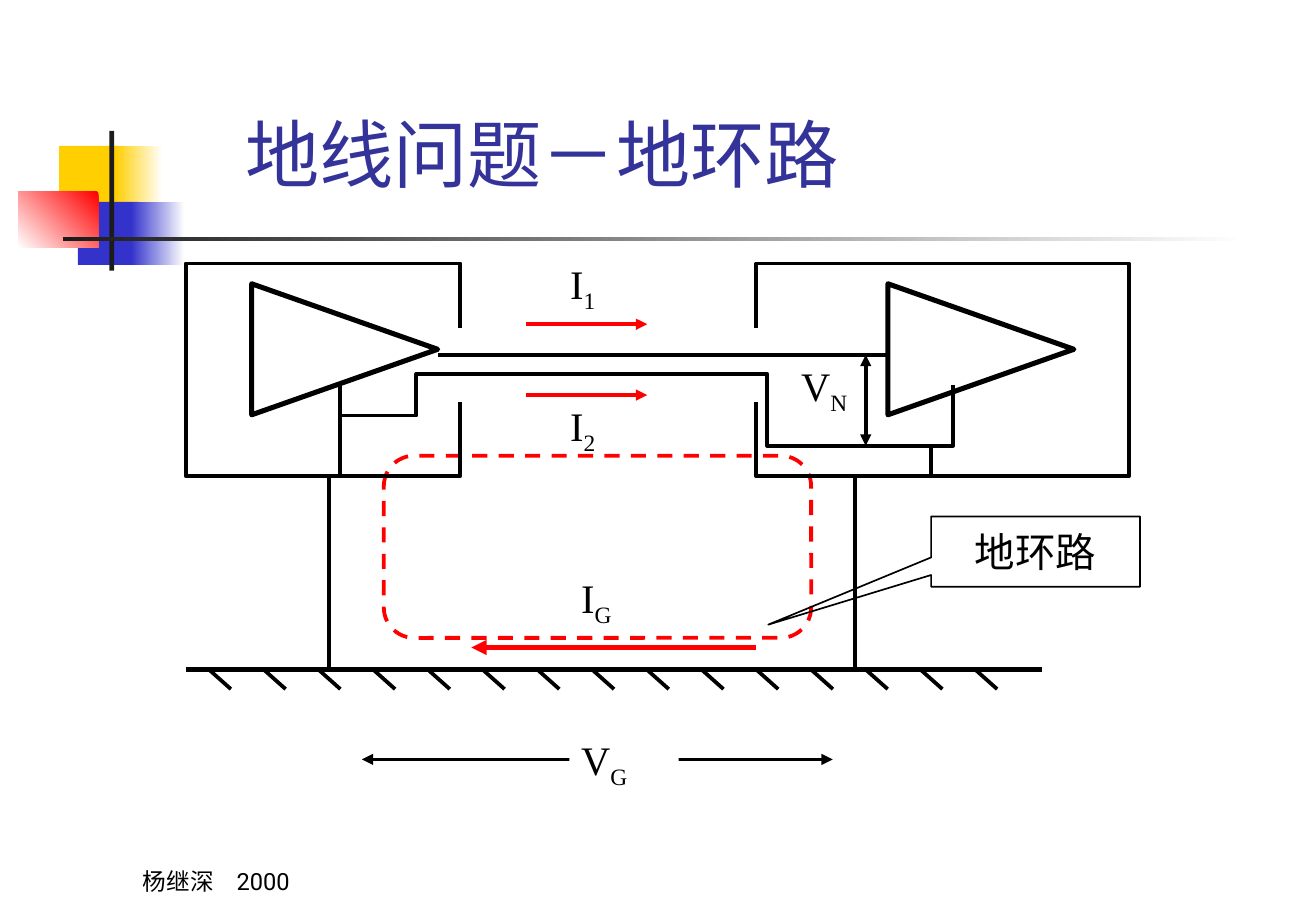
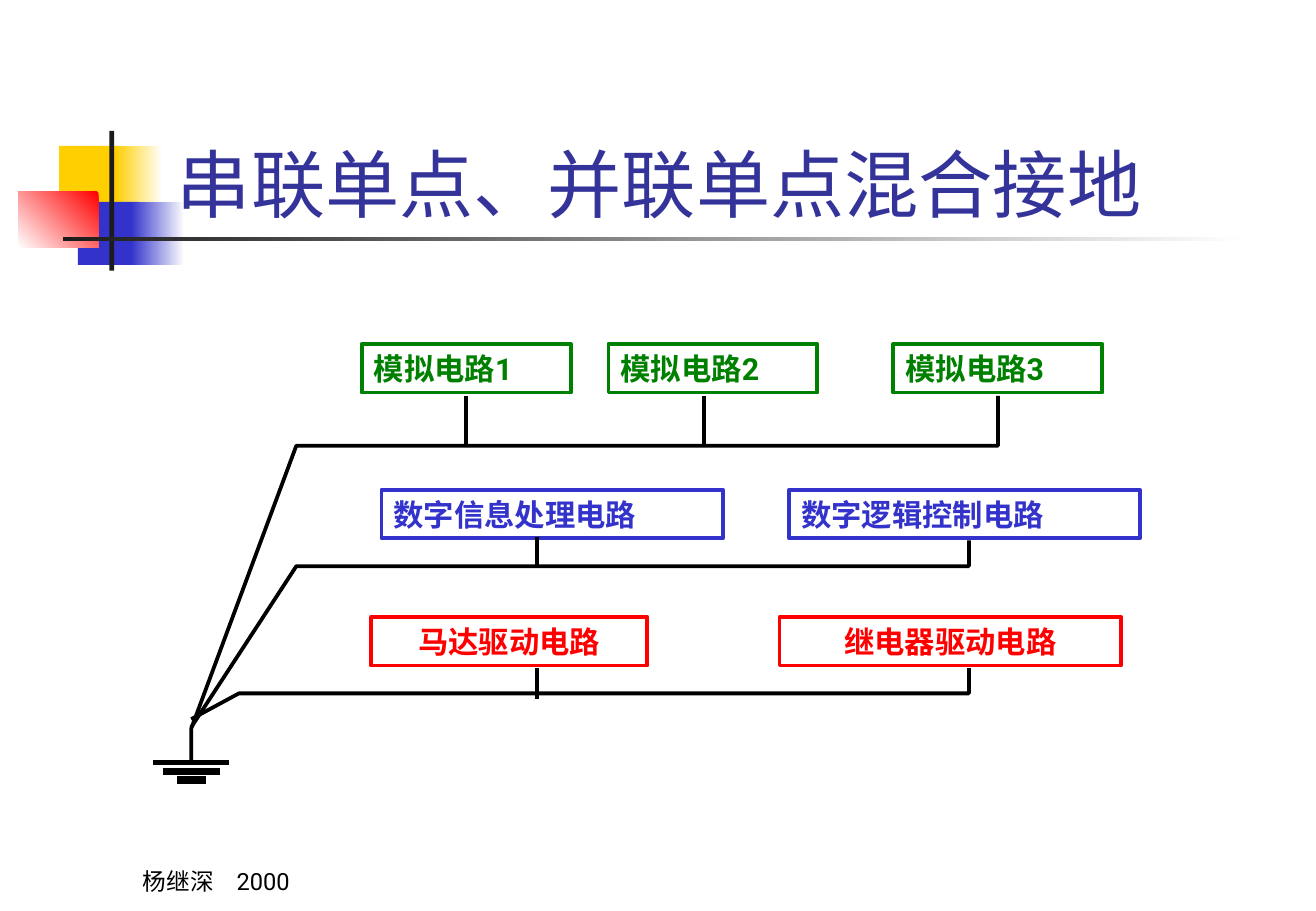
from lxml import etree
from pptx import Presentation
from pptx.dml.color import RGBColor
from pptx.enum.dml import MSO_LINE
from pptx.enum.shapes import MSO_CONNECTOR, MSO_SHAPE
from pptx.enum.text import MSO_ANCHOR, PP_ALIGN
from pptx.oxml.ns import qn
from pptx.util import Cm, Pt

RECTANGLE = MSO_SHAPE.RECTANGLE
ROUNDED = MSO_SHAPE.ROUNDED_RECTANGLE
TRIANGLE = MSO_SHAPE.ISOSCELES_TRIANGLE
CALLOUT = MSO_SHAPE.RECTANGULAR_CALLOUT
STRAIGHT = MSO_CONNECTOR.STRAIGHT
DASH = MSO_LINE.DASH
TOP, MIDDLE, BOTTOM = MSO_ANCHOR.TOP, MSO_ANCHOR.MIDDLE, MSO_ANCHOR.BOTTOM
LEFT, CENTER = PP_ALIGN.LEFT, PP_ALIGN.CENTER

WHITE = RGBColor(0xFF, 0xFF, 0xFF)
BLACK = RGBColor(0x00, 0x00, 0x00)
CHARCOAL = RGBColor(0x1C, 0x1C, 0x1C)
YELLOW = RGBColor(0xFF, 0xCF, 0x01)
BLUE = RGBColor(0x33, 0x33, 0xCC)
RED = RGBColor(0xFF, 0x00, 0x00)
GREEN = RGBColor(0x00, 0x80, 0x00)
TITLE_COLOR = RGBColor(0x33, 0x33, 0x99)

SANS = "Roboto"
SERIF = "Times New Roman"
FOOTER = "杨继深\t2000"
WIRE = 2.25


def write_text(shape, text, *, size, font=SANS, color=BLACK, bold=False, align=LEFT,
               anchor=TOP, wrap=True, subscript="", tab=None):
    frame = shape.text_frame
    frame.word_wrap = wrap
    frame.vertical_anchor = anchor
    frame.margin_left = frame.margin_right = Cm(0.25)
    frame.margin_top = frame.margin_bottom = Cm(0.13)
    paragraph = frame.paragraphs[0]
    if tab is not None:
        properties = paragraph._p.get_or_add_pPr()
        tab_list = etree.SubElement(properties, qn("a:tabLst"))
        etree.SubElement(tab_list, qn("a:tab"), pos=str(Cm(tab)), algn="l")
    paragraph.alignment = align
    for part, baseline in ((text, None), (subscript, "-25000")):
        if not part:
            continue
        run = paragraph.add_run()
        run.text = part
        run.font.name = font
        run.font.size = Pt(size)
        run.font.bold = bold
        run.font.color.rgb = color
        if baseline:
            run._r.get_or_add_rPr().set("baseline", baseline)


def add_text(slide, box, text, **text_format):
    shape = slide.shapes.add_textbox(*map(Cm, box))
    write_text(shape, text, **text_format)
    return shape


def style_outline(shape, color, width):
    if color is None:
        shape.line.fill.background()
    else:
        shape.line.color.rgb = color
        shape.line.width = Pt(width)


def add_shape(slide, kind, box, *, fill=None, line=None, width=WIRE):
    shape = slide.shapes.add_shape(kind, *map(Cm, box))
    shape.shadow.inherit = False
    if fill is None:
        shape.fill.background()
    else:
        shape.fill.solid()
        shape.fill.fore_color.rgb = fill
    style_outline(shape, line, width)
    return shape


def add_fade(slide, box, first, last, angle=180):
    """Add a borderless rectangle with a two-colour gradient."""
    shape = add_shape(slide, RECTANGLE, box)
    shape.fill.gradient()
    shape.fill.gradient_angle = angle
    for stop, color in zip(shape.fill.gradient_stops, (first, last)):
        stop.color.rgb = color


def add_line(slide, start, end, *, color=BLACK, width=WIRE, heads=()):
    """Add a straight line; heads names the ends with arrows (headEnd, tailEnd)."""
    connector = slide.shapes.add_connector(STRAIGHT, *map(Cm, (*start, *end)))
    style_outline(connector, color, width)
    etree.SubElement(connector._element.spPr, qn("a:effectLst"))
    outline = connector.line._get_or_add_ln()
    for head in heads:
        etree.SubElement(outline, qn(f"a:{head}"), type="triangle")


def add_polyline(slide, points):
    first, *others = [(Cm(x), Cm(y)) for x, y in points]
    builder = slide.shapes.build_freeform(*first)
    builder.add_line_segments(others, close=False)
    shape = builder.convert_to_shape()
    shape.shadow.inherit = False
    shape.fill.background()
    style_outline(shape, BLACK, WIRE)


def add_base_slide(presentation, title, title_box):
    """Add a blank-layout slide with the shared ornament, title and footer."""
    slide = presentation.slides.add_slide(presentation.slide_layouts[6])
    add_shape(slide, RECTANGLE, (1.24, 3.05, 1.32, 1.32), fill=YELLOW)
    add_fade(slide, (2.41, 3.05, 0.99, 1.32), WHITE, YELLOW)
    add_shape(slide, RECTANGLE, (1.63, 4.22, 1.27, 1.32), fill=BLUE)
    add_fade(slide, (2.74, 4.22, 1.12, 1.32), WHITE, BLUE)
    add_fade(slide, (0.38, 4.01, 1.68, 1.17), RED, WHITE, angle=225)
    add_shape(slide, RECTANGLE, (2.29, 2.74, 0.1, 2.92), fill=CHARCOAL)
    add_fade(slide, (1.32, 4.95, 24.77, 0.09), WHITE, CHARCOAL)
    add_text(slide, title_box, title, size=44, color=TITLE_COLOR, anchor=BOTTOM)
    add_text(slide, (2.74, 17.58, 5.74, 1.27), FOOTER, size=14, anchor=BOTTOM, tab=1.96)
    return slide


def add_symbol(slide, left, top, letter, subscript):
    add_text(slide, (left, top, 1.8, 1.42), letter, subscript=subscript, size=24, font=SERIF)


def add_housing(slide, open_x, closed_x):
    """Outline a cabinet whose side at open_x has a gap for the cable."""
    top, bottom = 5.51, 9.96
    add_polyline(slide, [(open_x, 6.86), (open_x, top), (closed_x, top),
                         (closed_x, bottom), (open_x, bottom), (open_x, 8.41)])


def build_ground_loop(presentation):
    slide = add_base_slide(presentation, "地线问题－地环路", (4.88, 2.13, 20.62, 2.13))
    signal_y, return_y, housing_y, ground_y = 7.42, 9.32, 9.96, 14

    for left in (5.84, 19.15):
        amplifier = add_shape(slide, TRIANGLE, (left, 5.36, 2.74, 3.89), line=BLACK, width=3)
        amplifier.rotation = 90
    add_line(slide, (9.17, signal_y), (18.57, signal_y))

    add_line(slide, (3.89, ground_y), (21.79, ground_y), width=3)
    for index in range(15):
        x = 4.37 + 1.145 * index
        add_line(slide, (x, ground_y), (x + 0.46, ground_y + 0.41))
    for x in (6.88, 17.88):
        add_line(slide, (x, housing_y), (x, ground_y))

    for y in (6.78, 8.26):
        add_line(slide, (11, y), (13.54, y), color=RED, heads=["tailEnd"])
    add_line(slide, (15.82, 13.54), (9.86, 13.54), color=RED, width=3, heads=["tailEnd"])
    both_ends = ["headEnd", "tailEnd"]
    add_line(slide, (7.57, 15.88), (17.42, 15.88), heads=both_ends)
    add_shape(slide, RECTANGLE, (11.91, 15.24, 2.29, 1.42), fill=WHITE)
    add_line(slide, (18.11, signal_y), (18.11, return_y), heads=both_ends)

    loop = add_shape(slide, ROUNDED, (8.03, 9.53, 8.94, 3.81), line=RED)
    loop.line.dash_style = DASH
    callout = add_shape(slide, CALLOUT, (19.48, 10.8, 4.37, 1.47), line=BLACK, width=1)
    callout.adjustments[0] = -1.28
    callout.adjustments[1] = 1.04
    write_text(callout, "地环路", size=24, font=SERIF, align=CENTER, anchor=MIDDLE, wrap=False)

    add_housing(slide, 9.63, 3.89)
    add_housing(slide, 15.82, 23.62)
    add_polyline(slide, [(7.11, 8.05), (7.11, 8.69), (8.71, 8.69), (8.71, 7.82),
                         (16.05, 7.82), (16.05, return_y), (19.94, return_y), (19.94, 8.05)])
    add_line(slide, (7.11, 8.69), (7.11, housing_y))
    add_line(slide, (19.48, return_y), (19.48, housing_y))

    for left, top, letter, subscript in (
        (11.68, 5.28, "I", "1"),
        (11.68, 8.26, "I", "2"),
        (11.91, 11.86, "I", "G"),
        (11.91, 15.24, "V", "G"),
        (16.51, 7.42, "V", "N"),
    ):
        add_symbol(slide, left, top, letter, subscript)


def build_mixed_grounding(presentation):
    slide = add_base_slide(presentation, "串联单点、并联单点混合接地", (3.45, 1.7, 23.44, 3.18))
    circuit_rows = (
        (7.19, GREEN, LEFT, ((7.57, 4.37, "模拟电路1"), (12.73, 4.37, "模拟电路2"),
                             (18.69, 4.37, "模拟电路3"))),
        (10.24, BLUE, LEFT, ((7.98, 7.14, "数字信息处理电路"), (16.51, 7.34, "数字逻辑控制电路"))),
        (12.9, RED, CENTER, ((7.77, 5.77, "马达驱动电路"), (16.31, 7.14, "继电器驱动电路"))),
    )
    for top, color, align, circuits in circuit_rows:
        for left, width, name in circuits:
            box = add_shape(slide, RECTANGLE, (left, top, width, 1.02), line=color)
            write_text(box, name, size=18, color=color, bold=True, align=align)

    ground_x, ground_y = 4, 15.95
    add_polyline(slide, [(20.88, 8.28), (20.88, 9.32), (6.2, 9.32),
                         (ground_x, 15.24), (ground_x, ground_y)])
    add_polyline(slide, [(20.27, 11.3), (20.27, 11.84), (6.2, 11.84), (ground_x, 15.21)])
    add_polyline(slide, [(20.27, 13.97), (20.27, 14.5), (5, 14.5), (ground_x, 15.04)])
    for x, top, bottom in ((9.75, 8.28, 9.35), (14.73, 8.28, 9.35),
                           (11.23, 11.23, 11.86), (11.23, 13.97, 14.61)):
        add_line(slide, (x, top), (x, bottom))
    for index, (half, width) in enumerate(((0.8, 3), (0.6, 4.5), (0.3, 4.5))):
        y = ground_y + 0.18 * index
        add_line(slide, (ground_x - half, y), (ground_x + half, y), width=width)


def main():
    presentation = Presentation()
    presentation.slide_width = Cm(27.53)
    presentation.slide_height = Cm(19.05)
    build_ground_loop(presentation)
    build_mixed_grounding(presentation)
    presentation.save("out.pptx")


if __name__ == "__main__":
    main()
